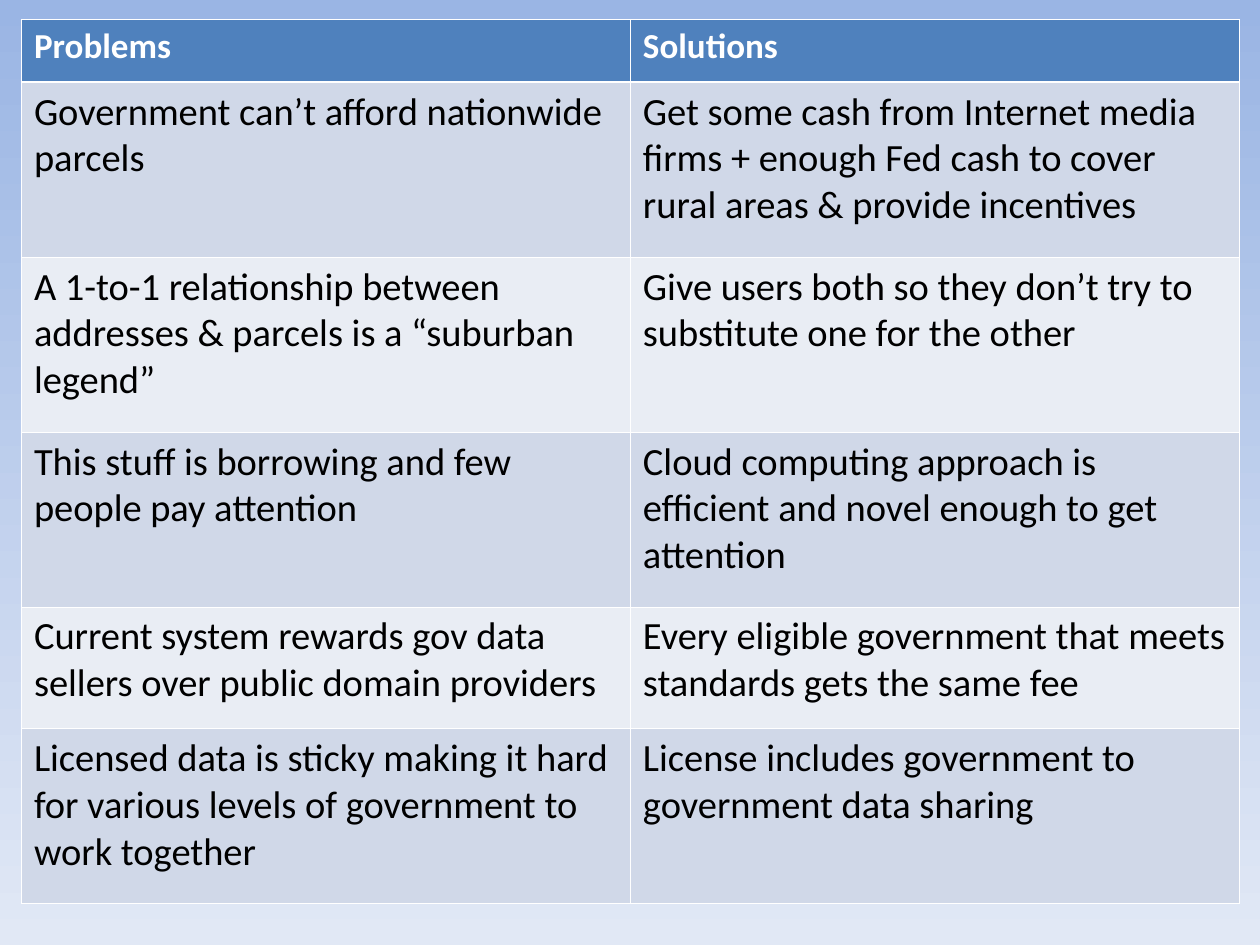
from dataclasses import dataclass

import pptx
import pptx.dml.color
import pptx.oxml
import pptx.oxml.ns
import pptx.util

Pt = pptx.util.Pt


@dataclass(frozen=True)
class Theme:
    font: str = "Calibri"
    header_size: int = 20
    body_size: int = 22
    header_text: str = "FFFFFF"
    body_text: str = "000000"
    header_fill: str = "4F81BD"
    band_fills: tuple = ("D0D8E8", "E9EDF4")
    rule: str = "FFFFFF"
    thin_rule: float = 0.45
    header_rule: float = 1.47
    sky: tuple = ("9AB5E4", "E1E8F5")


THEME = Theme()

HEADINGS = ("Problems", "Solutions")
PAIRS = [
    ("Government can’t afford nationwide parcels",
     "Get some cash from Internet media firms + enough Fed cash to cover "
     "rural areas & provide incentives"),
    ("A 1-to-1 relationship between addresses & parcels is a “suburban legend”",
     "Give users both so they don’t try to substitute one for the other"),
    ("This stuff is borrowing and few people pay attention",
     "Cloud computing approach is efficient and novel enough to get attention"),
    ("Current system rewards gov data sellers over public domain providers",
     "Every eligible government that meets standards gets the same fee"),
    ("Licensed data is sticky making it hard for various levels of "
     "government to work together",
     "License includes government to government data sharing"),
]
COLUMN_WIDTH = 348
ROW_HEIGHTS = (36, 100, 100, 100, 69.5, 100)


def rgb(value):
    return pptx.dml.color.RGBColor.from_string(value)


def paint_background(slide):
    fill = slide.background.fill
    fill.gradient()
    fill.gradient_angle = 270
    for stop, color in zip(fill.gradient_stops, THEME.sky):
        stop.color.rgb = rgb(color)


def rule_cell(cell, top, bottom):
    """Draw the four cell borders; this must come before the cell's fill."""
    properties = cell._tc.get_or_add_tcPr()
    widths = {"L": THEME.thin_rule, "R": THEME.thin_rule, "T": top, "B": bottom}
    for side, width in widths.items():
        properties.append(pptx.oxml.parse_xml(
            f'<a:ln{side} {pptx.oxml.ns.nsdecls("a")} w="{int(Pt(width))}">'
            f'<a:solidFill><a:srgbClr val="{THEME.rule}"/></a:solidFill>'
            f'</a:ln{side}>'))


def write_cell(cell, text, size, color, fill, bold):
    cell.fill.solid()
    cell.fill.fore_color.rgb = rgb(fill)
    run = cell.text_frame.paragraphs[0].add_run()
    run.text = text
    run.font.name = THEME.font
    run.font.size = Pt(size)
    run.font.bold = bold
    run.font.color.rgb = rgb(color)


def add_comparison(slide):
    rows = [HEADINGS, *PAIRS]
    comparison = slide.shapes.add_table(
        len(rows), len(HEADINGS), Pt(12.25), Pt(11),
        Pt(COLUMN_WIDTH * len(HEADINGS)), Pt(sum(ROW_HEIGHTS))).table
    for column in comparison.columns:
        column.width = Pt(COLUMN_WIDTH)

    for index, (texts, height) in enumerate(zip(rows, ROW_HEIGHTS)):
        comparison.rows[index].height = Pt(height)
        is_header = index == 0
        # A heavier rule separates the header from the first pair
        top = THEME.header_rule if index == 1 else THEME.thin_rule
        bottom = THEME.header_rule if is_header else THEME.thin_rule
        if is_header:
            style = (THEME.header_size, THEME.header_text, THEME.header_fill)
        else:
            band = THEME.band_fills[(index - 1) % 2]
            style = (THEME.body_size, THEME.body_text, band)
        for cell, text in zip(comparison.rows[index].cells, texts):
            rule_cell(cell, top, bottom)
            write_cell(cell, text, *style, bold=is_header)


def main():
    presentation = pptx.Presentation()
    presentation.slide_width = Pt(720)
    presentation.slide_height = Pt(540)

    # The slide has no title, so it uses the blank layout
    slide = presentation.slides.add_slide(presentation.slide_layouts[6])
    paint_background(slide)
    add_comparison(slide)

    presentation.save("out.pptx")


if __name__ == "__main__":
    main()
